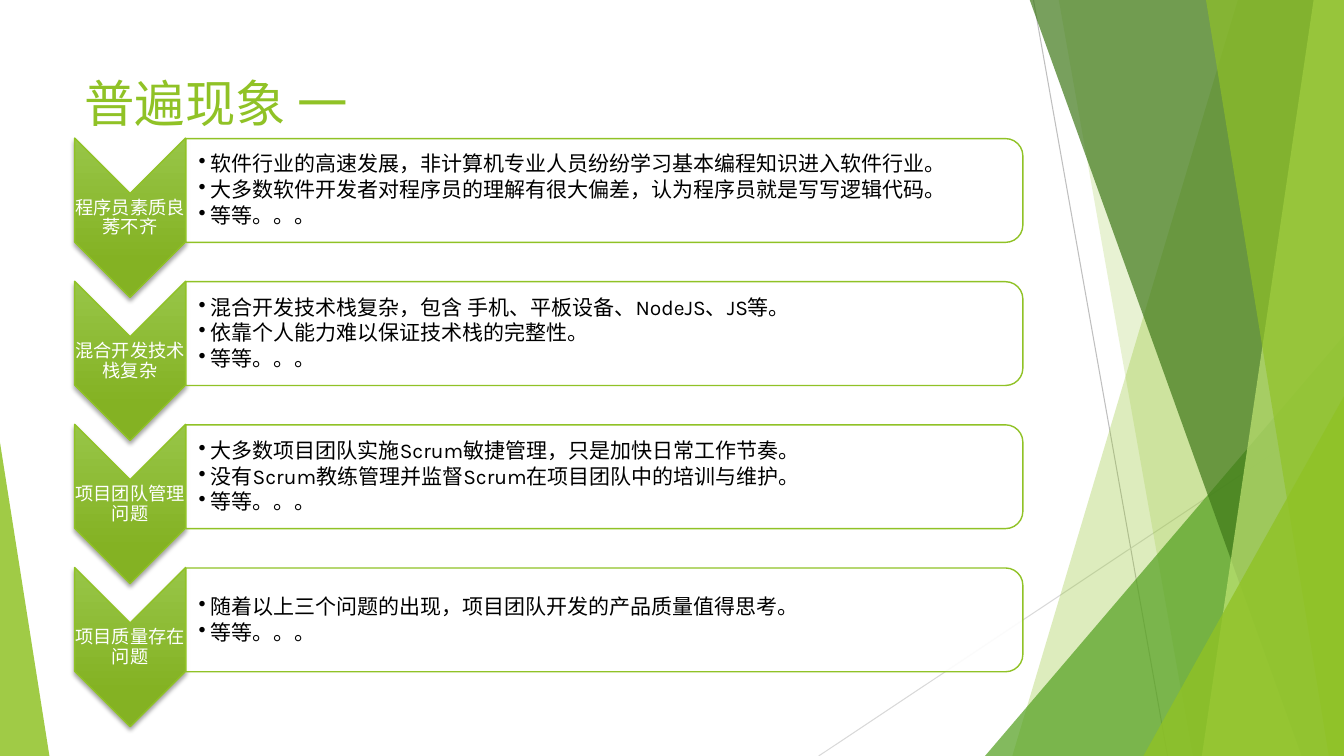
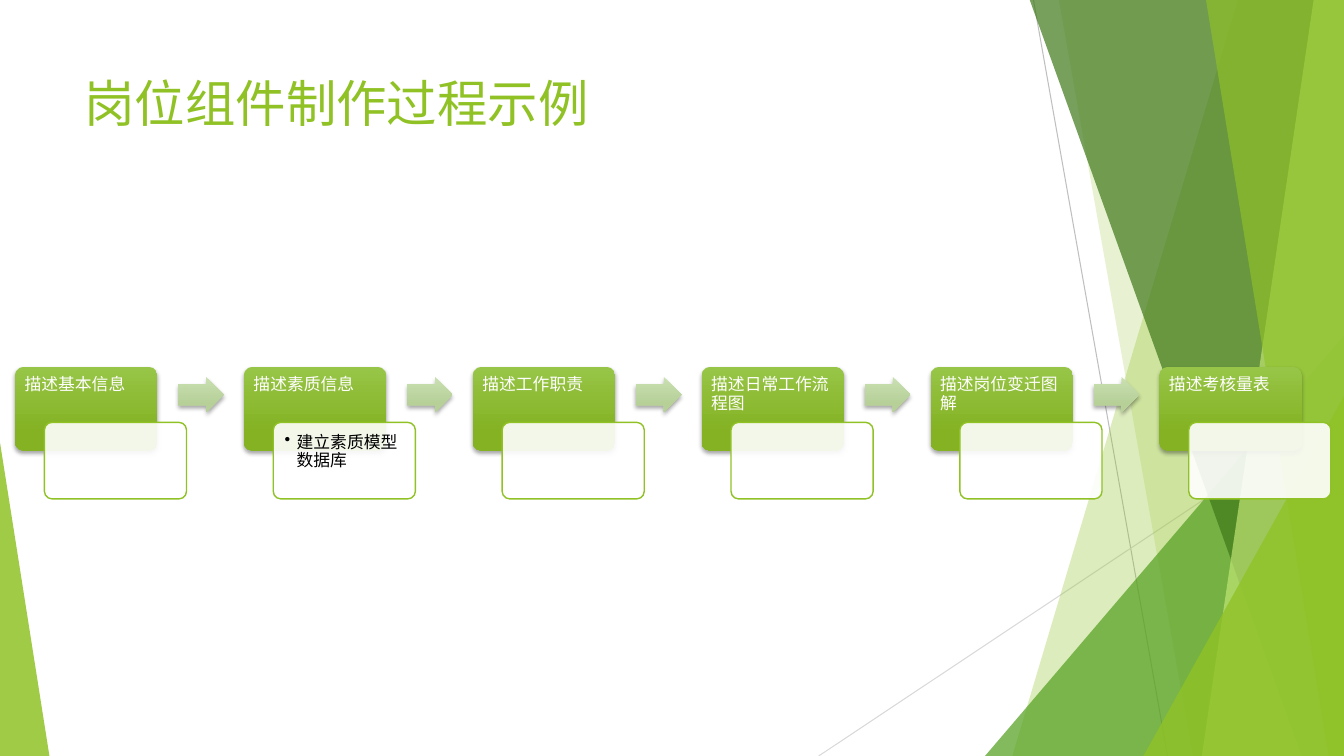
from lxml.etree import SubElement as Sub
from pptx import Presentation
from pptx.dml.color import RGBColor as RGB
from pptx.enum.shapes import MSO_CONNECTOR as CONN, MSO_SHAPE as SHAPE
from pptx.enum.text import MSO_ANCHOR as ANCHOR, PP_ALIGN as ALIGN
from pptx.oxml.ns import qn
from pptx.util import Pt

PX = 9144  # 100 px to the inch
WIDE, HIGH = 1333, 750
FONT = "Karla"

WHITE, BLACK = RGB(255, 255, 255), RGB(0, 0, 0)
GREEN = RGB(0x90, 0xC2, 0x26)
LEAF = RGB(0x54, 0xA0, 0x21)
DARK = RGB(0x3F, 0x78, 0x19)
LIME = RGB(0xC0, 0xE4, 0x74)
GREY, PALE = RGB(0xBF, 0xBF, 0xBF), RGB(0xD9, 0xD9, 0xD9)
VIVID = RGB(0x97, 0xC5, 0x47), RGB(0x84, 0xB2, 0x23)
SOFT = RGB(0xC9, 0xDF, 0xB1), RGB(0xB6, 0xD0, 0x98)

ISSUES = [
    ("程序员素质良莠不齐", [
        "软件行业的高速发展，非计算机专业人员纷纷学习基本编程知识进入软件行业。",
        "大多数软件开发者对程序员的理解有很大偏差，认为程序员就是写写逻辑代码。",
        "等等。。。"]),
    ("混合开发技术栈复杂", [
        "混合开发技术栈复杂，包含 手机、平板设备、NodeJS、JS等。",
        "依靠个人能力难以保证技术栈的完整性。",
        "等等。。。"]),
    ("项目团队管理问题", [
        "大多数项目团队实施Scrum敏捷管理，只是加快日常工作节奏。",
        "没有Scrum教练管理并监督Scrum在项目团队中的培训与维护。",
        "等等。。。"]),
    ("项目质量存在问题", [
        "随着以上三个问题的出现，项目团队开发的产品质量值得思考。",
        "等等。。。"]),
]

STEPS = [
    ("描述基本信息", []),
    ("描述素质信息", ["建立素质模型数据库"]),
    ("描述工作职责", []),
    ("描述日常工作流程图", []),
    ("描述岗位变迁图解", []),
    ("描述考核量表", []),
]


def px(*nums):
    return [n * PX for n in nums]


# Fills and effects
def paint(shape, color, alpha):
    shape.fill.solid()
    shape.fill.fore_color.rgb = color
    node = shape.element.spPr.find(qn("a:solidFill"))[0]
    Sub(node, qn("a:alpha"), val=str(alpha * 1000))


def shade(shape, colors):
    """Vertical gradient with a soft shadow below."""
    fill = shape.fill
    fill.gradient()
    fill.gradient_angle = 270
    for stop, color, pos in zip(fill.gradient_stops, colors, (0, 0.78)):
        stop.color.rgb = color
        stop.position = pos
    props = shape.element.spPr
    props.find(qn("a:gradFill")).set("rotWithShape", "0")
    glow = Sub(props.find(qn("a:effectLst")), qn("a:outerShdw"),
               blurRad=str(Pt(3)), dist=str(Pt(2)), dir="5400000",
               rotWithShape="0")
    tint = Sub(glow, qn("a:srgbClr"), val="000000")
    Sub(tint, qn("a:alpha"), val="35000")


def edge(shape, color=None):
    if color is None:
        shape.line.fill.background()
    else:
        shape.line.color.rgb = color
        shape.line.width = Pt(1)


# Basic elements
def form(slide, kind, box, adj=(), turn=0, line=None):
    shape = slide.shapes.add_shape(kind, *px(*box))
    shape.shadow.inherit = False
    shape.rotation = turn
    for i, val in enumerate(adj):
        shape.adjustments[i] = val
    edge(shape, line)
    return shape


def panel(slide, kind, box, **opts):
    shape = form(slide, kind, box, line=GREEN, **opts)
    paint(shape, WHITE, 90)
    return shape


def write(shape, lines, size, color, pad, anchor=ANCHOR.TOP,
          align=ALIGN.LEFT, bullet=False, lead=0.9, after=0):
    frame = shape.text_frame
    frame.word_wrap = True
    frame.vertical_anchor = anchor
    (frame.margin_left, frame.margin_top,
     frame.margin_right, frame.margin_bottom) = px(*pad)
    frame.text = "\n".join(lines)
    for para in frame.paragraphs:
        if bullet:
            props = para._p.get_or_add_pPr()
            props.set("marL", str(12 * PX))
            props.set("indent", str(-12 * PX))
            Sub(props, qn("a:buChar"), char="•")
        para.alignment = align
        para.line_spacing = lead
        para.space_after = Pt(after)
        for run in para.runs:
            run.font.name = FONT
            run.font.size = Pt(size)
            run.font.color.rgb = color


def label(slide, box, lines, *args, **opts):
    write(slide.shapes.add_textbox(*px(*box)), lines, *args, **opts)


# Shared backdrop and title
def rule(slide, ends, color):
    line = slide.shapes.add_connector(CONN.STRAIGHT, *px(*ends))
    line.line.color.rgb = color
    line.line.width = Pt(0.75)
    Sub(line.element.spPr, qn("a:effectLst"))


def band(slide, top, base, color, alpha):
    """Strip from a slanted left side to the right slide edge."""
    path = slide.shapes.build_freeform(top, -1, scale=PX)
    path.add_line_segments([(WIDE, -1), (WIDE, HIGH), (base, HIGH)])
    shape = path.convert_to_shape()
    shape.shadow.inherit = False
    paint(shape, color, alpha)
    edge(shape)


def wedge(slide, left, top, width, tip, color, alpha):
    shape = form(slide, SHAPE.ISOSCELES_TRIANGLE,
                 (left, top, width, HIGH - top), adj=[tip])
    paint(shape, color, alpha)


def start(deck, title):
    slide = deck.slides.add_slide(deck.slide_layouts[6])
    rule(slide, (1025, 0, 1158, HIGH), GREY)
    rule(slide, (WIDE, 403, 812, HIGH), PALE)
    band(slide, 1228, 1004, GREEN, 30)
    band(slide, 1050, 1183, GREEN, 20)
    wedge(slide, 977, 333, 356, 1, LEAF, 72)
    band(slide, 1021, 1291, DARK, 70)
    band(slide, 1303, 1192, LIME, 70)
    band(slide, 1196, 1318, GREEN, 65)
    wedge(slide, 1134, 393, 199, 1, GREEN, 80)
    wedge(slide, 0, 439, 49, 0, GREEN, 85)
    label(slide, (74, 67, 940, 144), [title], 36, GREEN,
          (10, 5, 10, 5), lead=1)
    return slide


# Content rows and steps
def issue(slide, top, name, points):
    arrow = form(slide, SHAPE.CHEVRON, (50, top + 24, 158, 110),
                 turn=90, line=GREEN)
    shade(arrow, VIVID)
    label(slide, (74, top + 56, 110, 47), [name], 13, WHITE,
          (0, 1, 0, 1), anchor=ANCHOR.MIDDLE, align=ALIGN.CENTER)
    panel(slide, SHAPE.ROUND_2_SAME_RECTANGLE,
          (548, top - 363, 103, 830), turn=90)
    label(slide, (185, top + 6, 825, 93), points, 15, BLACK,
          (12, 1, 1, 1), anchor=ANCHOR.MIDDLE, bullet=True, after=2.25)


def step(slide, left, name, points, more):
    head = form(slide, SHAPE.ROUNDED_RECTANGLE,
                (left, 364, 141, 83), adj=[0.1])
    shade(head, VIVID)
    write(head, [name], 12, WHITE, (7, 7, 7, 5))
    card = panel(slide, SHAPE.ROUNDED_RECTANGLE,
                 (left + 29, 419, 141, 76), adj=[0.1])
    if points:
        write(card, points, 12, BLACK, (9, 9, 9, 9), bullet=True)
    if more:
        arrow = form(slide, SHAPE.RIGHT_ARROW,
                     (left + 162, 374, 45, 35), adj=[0.6, 0.5])
        shade(arrow, SOFT)


def main():
    deck = Presentation()
    deck.slide_width, deck.slide_height = px(WIDE, HIGH)

    slide = start(deck, "普遍现象 一")
    for i, (name, points) in enumerate(ISSUES):
        issue(slide, 137 + 142 * i, name, points)

    slide = start(deck, "岗位组件制作过程示例")
    for i, (name, points) in enumerate(STEPS):
        step(slide, 15 + 227 * i, name, points, i < len(STEPS) - 1)

    deck.save("out.pptx")


if __name__ == "__main__":
    main()
